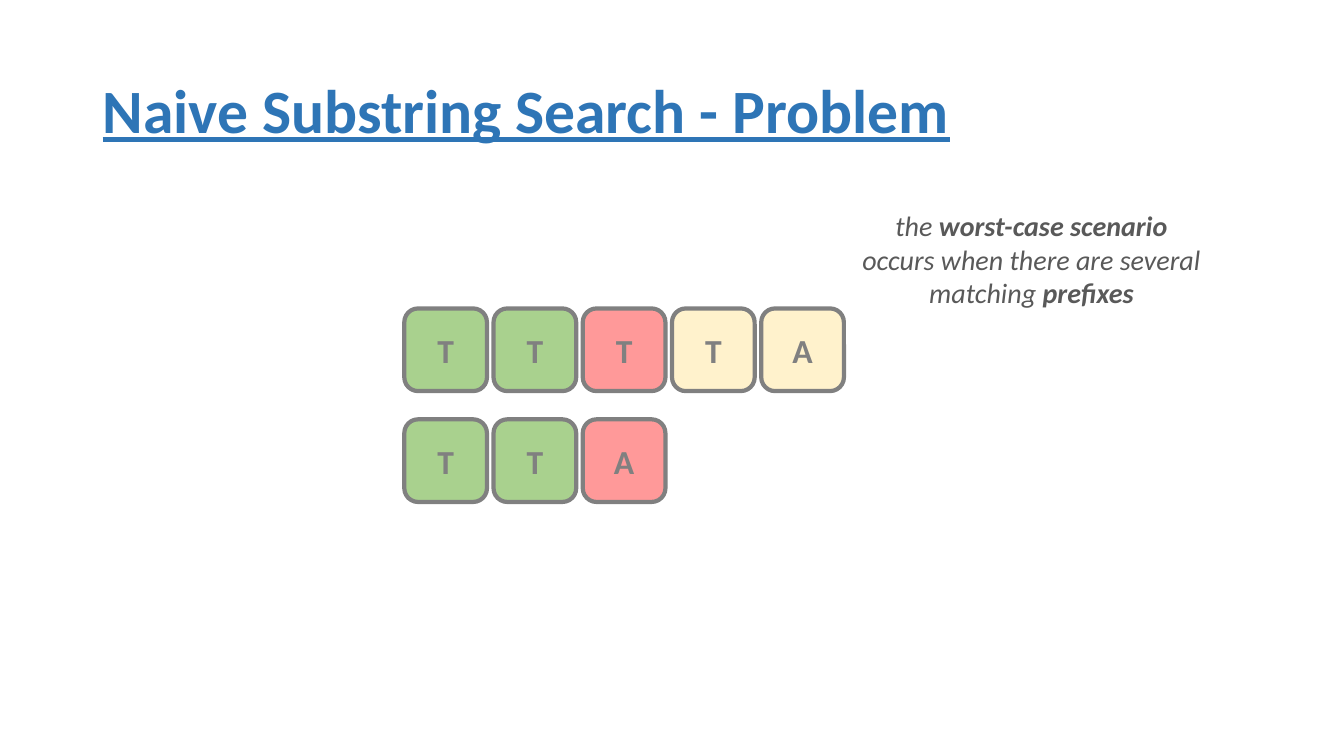
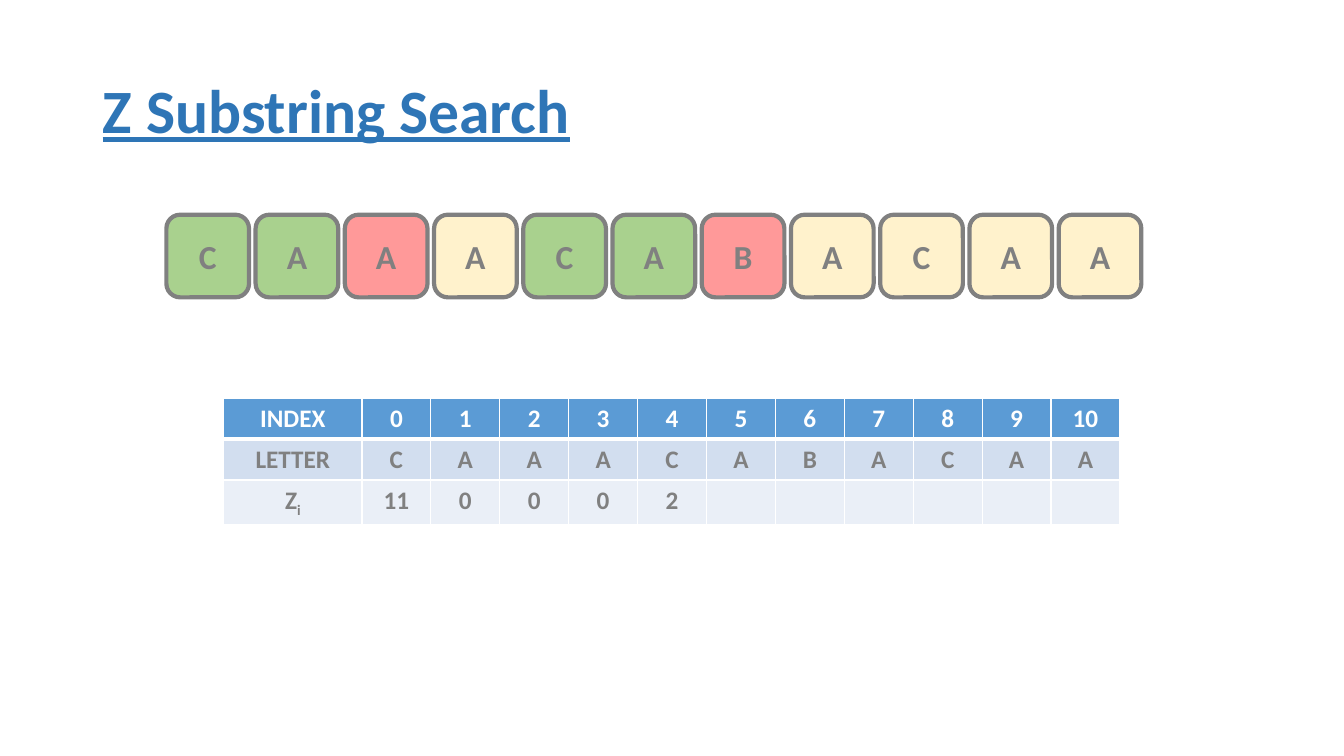
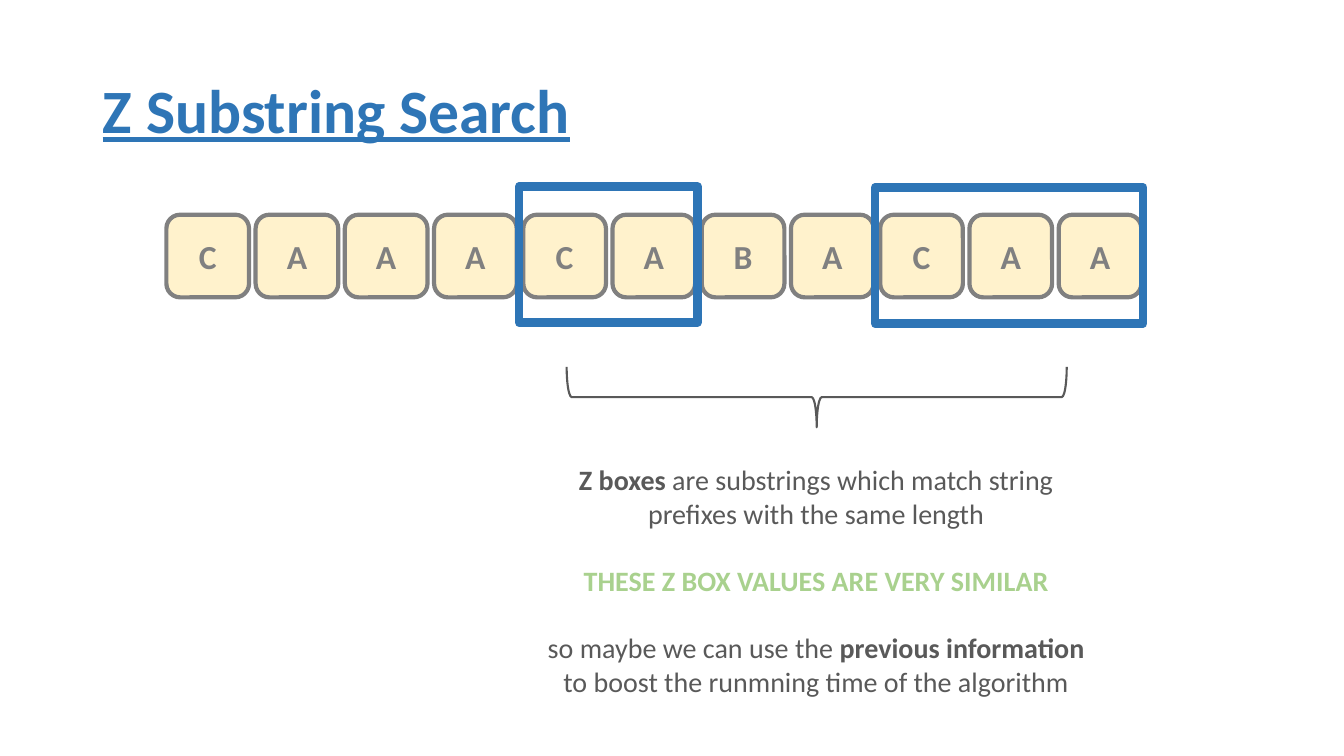
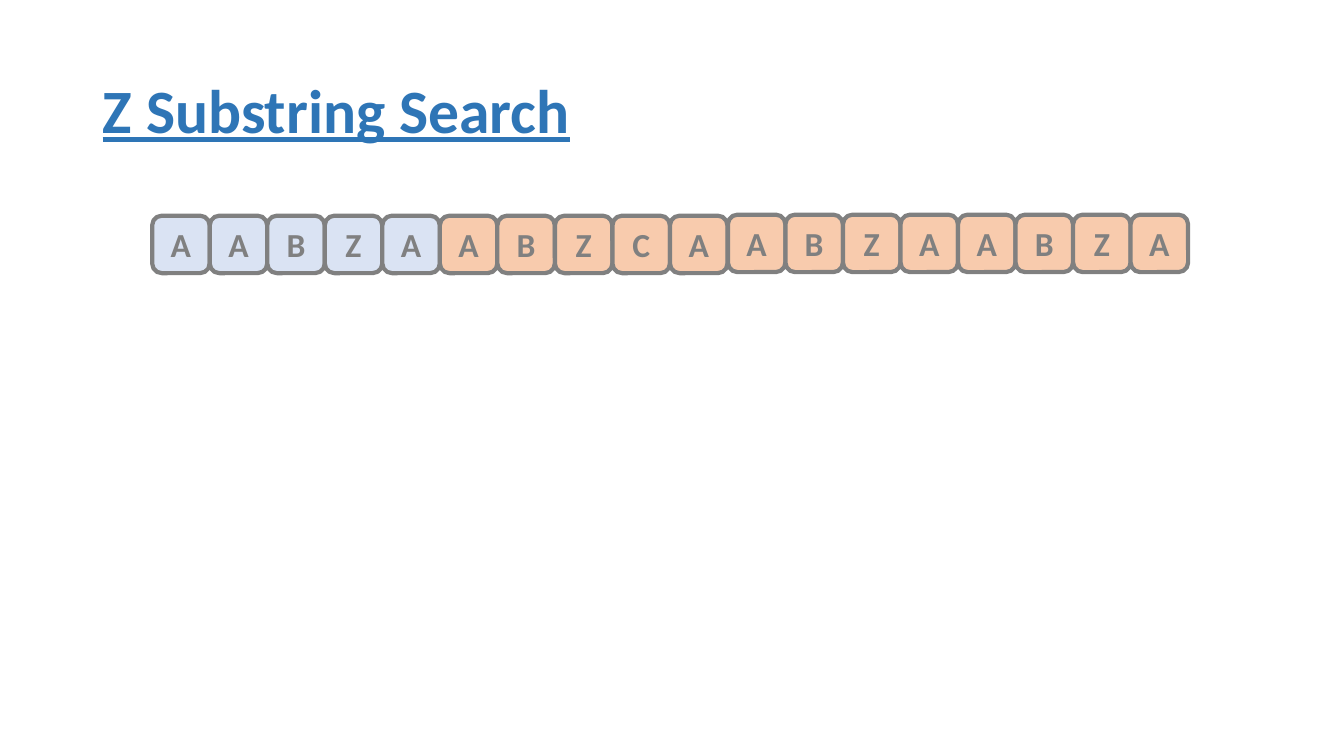
"""Build four slides on naive and Z substring search."""
from lxml.etree import SubElement
from pptx import Presentation
from pptx.dml.color import RGBColor
from pptx.enum.shapes import MSO_SHAPE as Shape
from pptx.enum.text import MSO_ANCHOR as Anchor, PP_ALIGN as Align
from pptx.oxml.ns import qn
from pptx.util import Inches, Pt

FONT = "Calibri"
BLUE, GRAY, DARK, WHITE = "2E75B6", "808080", "595959", "FFFFFF"
GREEN, RED, CREAM = "A9D18E", "FF9999", "FFF2CC"
PALE_BLUE, ORANGE = "DAE3F3", "F8CBAD"
FILLS = {"g": GREEN, "r": RED, "c": CREAM, "b": PALE_BLUE, "o": ORANGE}
TILE, TILE_STEP = 0.82, 8.85 / 10
SMALL_TILE, SMALL_STEP = 0.57, 9.7 / 17
hex_color = RGBColor.from_string


def write(paragraph, pieces, size, color, align=Align.CENTER, italic=None, underline=None):
    """Fill a paragraph with (text, bold) pieces."""
    paragraph.alignment = align
    for text, bold in pieces:
        run = paragraph.add_run()
        run.text = text
        font = run.font
        font.name, font.size, font.bold = FONT, Pt(size), bold
        font.italic, font.underline = italic, underline
        font.color.rgb = hex_color(color)


def add_tiles(slide, letters, codes, left, top, size=TILE, step=TILE_STEP):
    """Draw a row of lettered tiles, with one fill code for each letter."""
    for index, (letter, code) in enumerate(zip(letters, codes)):
        tile = slide.shapes.add_shape(
            Shape.ROUNDED_RECTANGLE, Inches(left + index * step), Inches(top), Inches(size), Inches(size))
        tile.shadow.inherit = False
        tile.fill.solid()
        tile.fill.fore_color.rgb = hex_color(FILLS[code])
        tile.line.color.rgb = hex_color(GRAY)
        tile.line.width = Pt(3)
        tile.text_frame.vertical_anchor = Anchor.MIDDLE
        write(tile.text_frame.paragraphs[0], [(letter, True)], 24, GRAY)


presentation = Presentation()
presentation.slide_width, presentation.slide_height = Inches(13.33), Inches(7.5)

slides = []
for title in ["Naive Substring Search - Problem"] + ["Z Substring Search"] * 3:
    slide = presentation.slides.add_slide(presentation.slide_layouts[6])
    title_box = slide.shapes.add_textbox(Inches(0.92), Inches(0.4), Inches(11.5), Inches(1.45))
    title_box.text_frame.word_wrap = True
    title_box.text_frame.vertical_anchor = Anchor.MIDDLE
    paragraph = title_box.text_frame.paragraphs[0]
    paragraph.line_spacing = 0.9
    write(paragraph, [(title, True)], 44, BLUE, Align.LEFT, underline=True)
    slides.append(slide)
naive_slide, table_slide, z_box_slide, pattern_slide = slides

add_tiles(naive_slide, "TTTTA", "ggrcc", 4.01, 3.06)
add_tiles(naive_slide, "TTA", "ggr", 4.01, 4.16)
add_tiles(table_slide, "CAAACABACAA"[:6] + "BACAA", "ggrcggrcccc", 1.65, 2.13)
add_tiles(z_box_slide, "CAAACABACAA", "c" * 11, 1.65, 2.13)
add_tiles(pattern_slide, "AABZAABZCA", "bbbbbooooo", 1.51, 2.14, SMALL_TILE, SMALL_STEP)
add_tiles(pattern_slide, "ABZAABZA", "o" * 8, 7.22, 2.13, SMALL_TILE, SMALL_STEP)

for left, top, width in [(8.68, 1.86, 2.66), (5.15, 1.85, 1.77)]:
    z_box = z_box_slide.shapes.add_shape(
        Shape.RECTANGLE, Inches(left), Inches(top), Inches(width), Inches(1.35))
    z_box.shadow.inherit = False
    z_box.fill.background()
    z_box.line.color.rgb = hex_color(BLUE)
    z_box.line.width = Pt(6)

brace = z_box_slide.shapes.add_shape(
    Shape.RIGHT_BRACE, Inches(7.8), Inches(1.46), Inches(0.6), Inches(4.96))
brace.rotation = 90
brace.shadow.inherit = False
brace.fill.background()
brace.line.color.rgb = hex_color(DARK)
brace.line.width = Pt(1.5)

worst_case_lines = [
    ([("the ", False), ("worst-case scenario", True)], DARK, 0),
    ([("occurs when there are several", False)], DARK, 0),
    ([("matching ", False), ("prefixes", True)], DARK, 0),
]
z_box_lines = [
    ([("Z boxes", True), (" are substrings which match string", False)], DARK, 0),
    ([("prefixes with the same length", False)], DARK, 0),
    ([("THESE Z BOX VALUES ARE VERY SIMILAR", True)], GREEN, 24),
    ([("so maybe we can use the ", False), ("previous information", True)], DARK, 24),
    ([("to boost the runmning time of the algorithm", False)], DARK, 0),
]
for slide, lines, (left, top, width, height), italic in [
    (naive_slide, worst_case_lines, (8.44, 2.02, 3.58, 1.11), True),
    (z_box_slide, z_box_lines, (5.33, 4.54, 5.53, 2.46), False),
]:
    note = slide.shapes.add_textbox(Inches(left), Inches(top), Inches(width), Inches(height))
    note.text_frame.word_wrap = False
    for index, (pieces, color, space) in enumerate(lines):
        paragraph = note.text_frame.add_paragraph() if index else note.text_frame.paragraphs[0]
        if space:
            paragraph.space_before = Pt(space)
        write(paragraph, pieces, 20, color, italic=italic)

table_rows = [
    (["INDEX"] + [str(number) for number in range(11)], "5B9BD5", WHITE),
    (["LETTER"] + list("CAAACABACAA"), "D2DEEF", GRAY),
    (["Zi", "11", "0", "0", "0", "2"] + [""] * 6, "EAEFF7", GRAY),
]
table = table_slide.shapes.add_table(
    3, 12, Inches(2.22), Inches(3.95), Inches(8.89), Inches(1.22)).table
for index, column in enumerate(table.columns):
    column.width = Inches(7.52 / 11 if index else 1.37)
for row_index, (values, fill, color) in enumerate(table_rows):
    table.rows[row_index].height = Inches(1.22 / 3)
    for column_index, value in enumerate(values):
        cell = table.cell(row_index, column_index)
        properties = cell._tc.get_or_add_tcPr()
        for side in ("lnL", "lnR", "lnT", "lnB"):
            thick = (row_index, side) in [(0, "lnB"), (1, "lnT")]
            border = SubElement(properties, qn(f"a:{side}"), w=str(Pt(3 if thick else 1)))
            SubElement(SubElement(border, qn("a:solidFill")), qn("a:srgbClr"), val=WHITE)
        cell.fill.solid()
        cell.fill.fore_color.rgb = hex_color(fill)
        pieces = [(letter, True) for letter in value] if value == "Zi" else [(value, True)]
        write(cell.text_frame.paragraphs[0], pieces, 18, color)
table.cell(2, 0).text_frame.paragraphs[0].runs[1].font._element.set("baseline", "-25000")

presentation.save("out.pptx")
